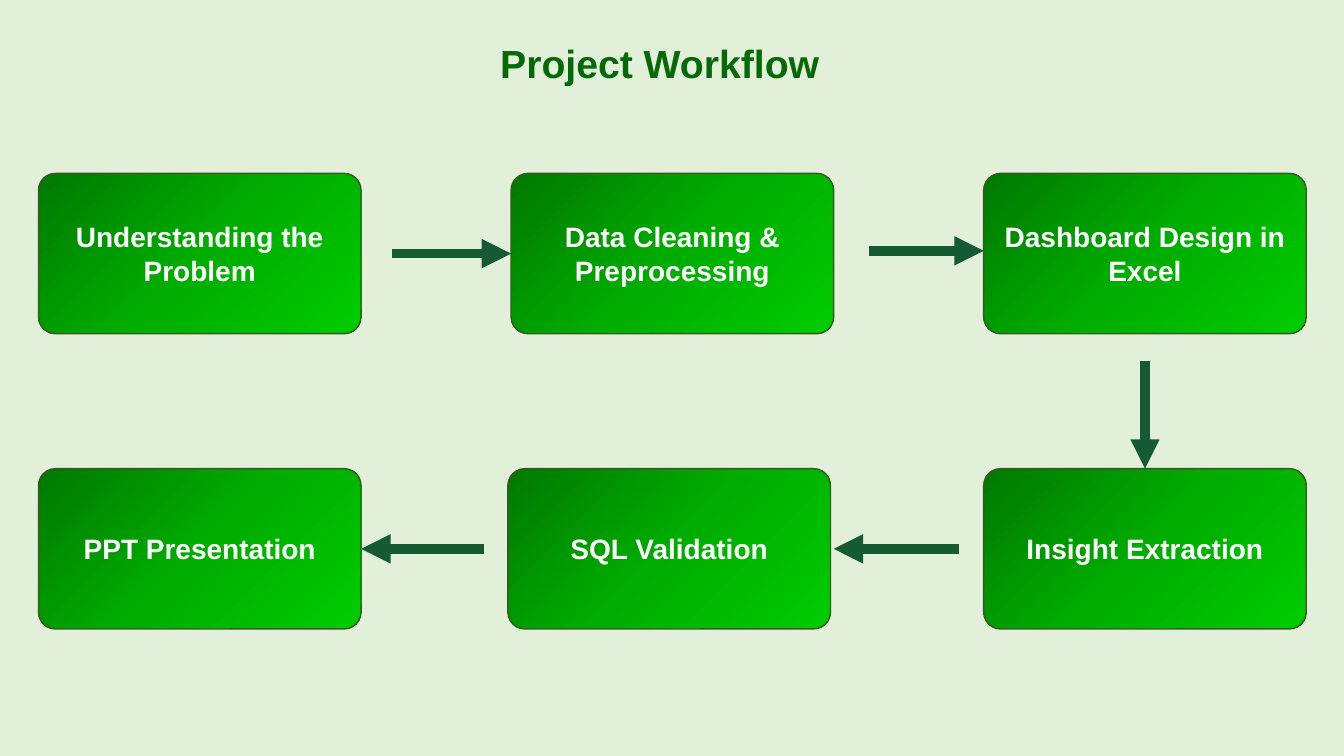
from dataclasses import dataclass

from pptx import Presentation
from pptx.dml.color import RGBColor
from pptx.enum.shapes import MSO_CONNECTOR, MSO_SHAPE
from pptx.enum.text import MSO_ANCHOR, MSO_AUTO_SIZE, PP_ALIGN
from pptx.oxml import parse_xml
from pptx.oxml.ns import nsdecls, qn
from pptx.util import Cm, Pt


@dataclass(frozen=True)
class Theme:
    font: str = "Arial"
    back: str = "E2F0D9"
    title: str = "056907"
    label: str = "FFFFFF"
    edge: str = "385723"
    arrow: str = "145A32"
    stops: tuple = ((0, "007900"), (50, "00AC00"), (100, "00CC00"))
    title_size: int = 28
    label_size: int = 20


def apply(target, values):
    for name, value in values.items():
        setattr(target, name, value)


class Board:
    def __init__(self, slide, theme):
        self.slide, self.theme = slide, theme
        fill = slide.background.fill
        fill.solid()
        fill.fore_color.rgb = RGBColor.from_string(theme.back)

    def label(self, frame, text, size, color, **form):
        apply(frame, {"word_wrap": True, **form})
        para = frame.paragraphs[0]
        para.alignment = PP_ALIGN.CENTER
        run = para.add_run()
        run.text = text
        apply(run.font, {"name": self.theme.font, "size": Pt(size), "bold": True})
        run.font.color.rgb = RGBColor.from_string(color)

    def stroke(self, line, color, width):
        line.color.rgb = RGBColor.from_string(color)
        line.width = Pt(width)

    def shade(self, shape):
        shape.fill.gradient()
        stops = "".join(
            f'<a:gs pos="{spot * 1000}"><a:srgbClr val="{color}"/></a:gs>'
            for spot, color in self.theme.stops
        )
        grad = parse_xml(
            f'<a:gradFill {nsdecls("a")} rotWithShape="1"><a:gsLst>{stops}</a:gsLst>'
            '<a:lin ang="2700000" scaled="0"/></a:gradFill>'
        )
        props = shape.element.spPr
        props.replace(props.find(qn("a:gradFill")), grad)

    def title(self, text, *area):
        frame = self.slide.shapes.add_textbox(*map(Cm, area)).text_frame
        self.label(frame, text, self.theme.title_size, self.theme.title,
                   auto_size=MSO_AUTO_SIZE.SHAPE_TO_FIT_TEXT)

    def card(self, text, *area):
        shape = self.slide.shapes.add_shape(MSO_SHAPE.ROUNDED_RECTANGLE, *map(Cm, area))
        shape.adjustments[0] = 0.105
        shape.shadow.inherit = False
        self.shade(shape)
        self.stroke(shape.line, self.theme.edge, 1)
        self.label(shape.text_frame, text, self.theme.label_size, self.theme.label,
                   vertical_anchor=MSO_ANCHOR.MIDDLE)

    def arrow(self, *ends):
        link = self.slide.shapes.add_connector(MSO_CONNECTOR.STRAIGHT, *map(Cm, ends))
        self.stroke(link.line, self.theme.arrow, 7)
        props = link.element.spPr
        props.find(qn("a:ln")).append(
            parse_xml(f'<a:tailEnd {nsdecls("a")} type="triangle"/>'))
        props.append(parse_xml(f'<a:effectLst {nsdecls("a")}/>'))


def main():
    deck = Presentation()
    apply(deck, {"slide_width": Cm(33.87), "slide_height": Cm(19.05)})
    board = Board(deck.slides.add_slide(deck.slide_layouts[6]), Theme())

    wide, high = 8.13, 4.04
    left, mid, right = (0.97 + 11.91 * col for col in range(3))
    top, low = 4.37, 11.81
    steps = (
        ("Understanding the Problem", left, top),
        ("Data Cleaning & Preprocessing", mid, top),
        ("Dashboard Design in Excel", right, top),
        ("Insight Extraction", right, low),
        ("SQL Validation", mid - 0.08, low),
        ("PPT Presentation", left, low),
    )
    for text, x, y in steps:
        board.card(text, x, y, wide, high)

    upper, lower = top + high / 2, low + high / 2
    down = right + wide / 2
    links = (
        (9.88, upper, mid, upper),
        (21.89, upper - 0.07, right, upper - 0.07),
        (down, 9.09, down, low),
        (24.18, lower, mid + wide, lower),
        (12.19, lower, left + wide, lower),
    )
    for ends in links:
        board.arrow(*ends)

    board.title("Project Workflow", 9.07, 0.86, 15.11, 1.45)
    deck.save("out.pptx")


if __name__ == "__main__":
    main()
